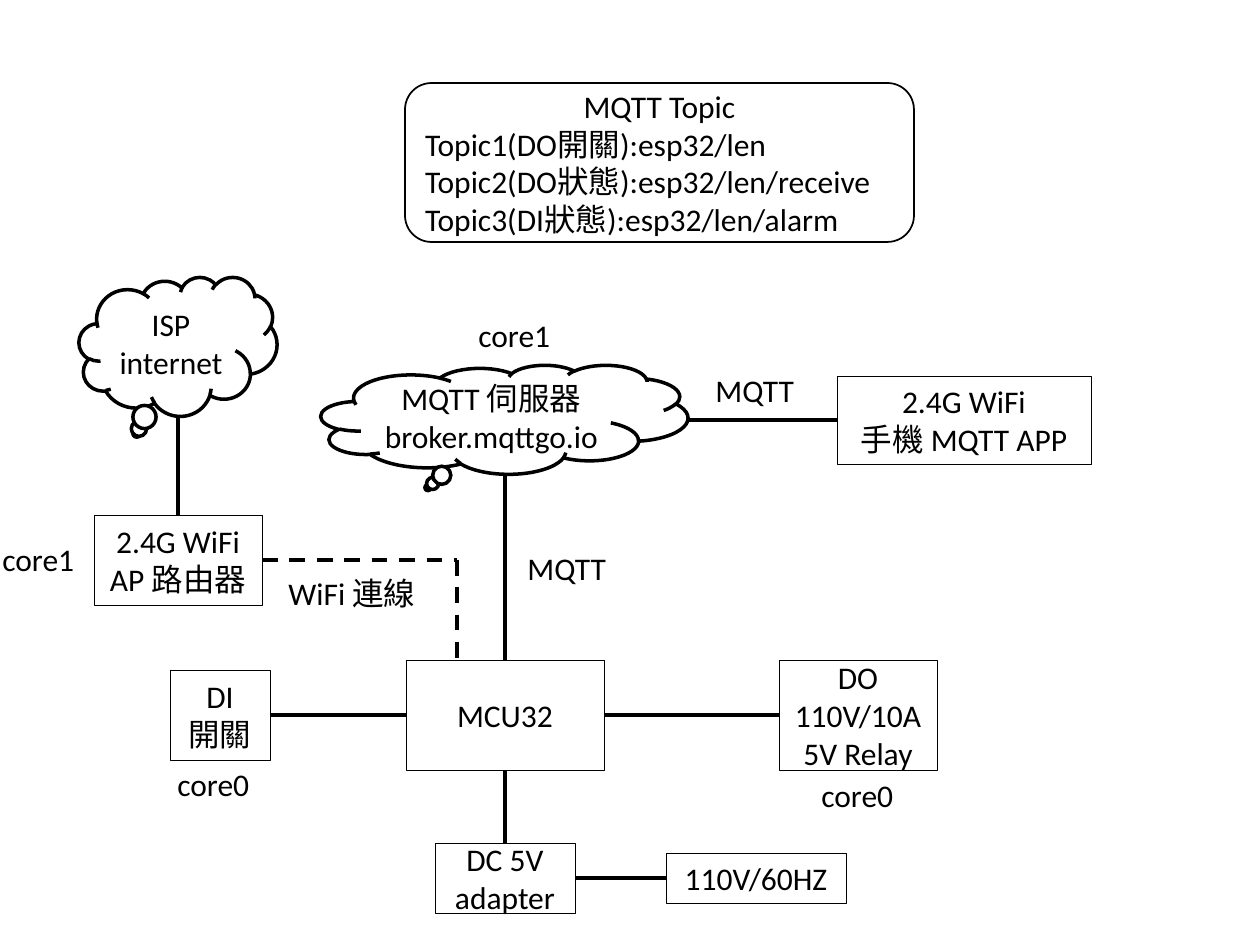
import dataclasses

import pptx
import pptx.dml.color
import pptx.enum.dml
import pptx.enum.shapes
import pptx.enum.text
import pptx.oxml.ns
import pptx.util
from lxml import etree

SCALE = 914400 / 126
SHAPE = pptx.enum.shapes.MSO_SHAPE
ALIGN = pptx.enum.text.PP_ALIGN
TOP, LEFT, BOTTOM, RIGHT = range(4)


@dataclasses.dataclass(frozen=True)
class Theme:
    """Colours, font and sizes of the diagram."""
    ink: pptx.dml.color.RGBColor = pptx.dml.color.RGBColor(0, 0, 0)
    paper: pptx.dml.color.RGBColor = pptx.dml.color.RGBColor(255, 255, 255)
    font: str = "Calibri"
    size: int = 18
    box_line: float = 0.25
    cloud_line: float = 2
    panel_line: float = 1
    link_line: float = 2.25
    box_inset: int = 6


THEME = Theme()


def px(n):
    """Turn pixels into EMU."""
    return pptx.util.Emu(round(n * SCALE))


def write(tf, lines, aligns):
    """Write one paragraph per line with its alignment."""
    for i, (line, align) in enumerate(zip(lines, aligns)):
        p = tf.paragraphs[0] if i == 0 else tf.add_paragraph()
        p.alignment = align
        r = p.add_run()
        r.text = line
        r.font.name = THEME.font
        r.font.size = pptx.util.Pt(THEME.size)
        r.font.color.rgb = THEME.ink


def add_node(s, kind, box, lines, width, aligns=None):
    """Add an outlined shape with text in its middle."""
    sp = s.shapes.add_shape(kind, *map(px, box))
    sp.shadow.inherit = False
    sp.fill.solid()
    sp.fill.fore_color.rgb = THEME.paper
    sp.line.color.rgb = THEME.ink
    sp.line.width = pptx.util.Pt(width)
    tf = sp.text_frame
    tf.word_wrap = True
    tf.vertical_anchor = pptx.enum.text.MSO_ANCHOR.MIDDLE
    write(tf, lines, aligns or [ALIGN.CENTER] * len(lines))
    return sp


def add_box(s, box, *lines):
    """Add a device rectangle with narrow side insets."""
    sp = add_node(s, SHAPE.RECTANGLE, box, lines, THEME.box_line)
    tf = sp.text_frame
    tf.margin_left = tf.margin_right = px(THEME.box_inset)
    return sp


def add_cloud(s, box, *lines):
    """Add a network cloud."""
    return add_node(s, SHAPE.CLOUD_CALLOUT, box, lines, THEME.cloud_line)


def add_label(s, left, top, width, text):
    """Add a one-line label."""
    tb = s.shapes.add_textbox(px(left), px(top), px(width), px(50))
    tf = tb.text_frame
    tf.word_wrap = False
    tf.auto_size = pptx.enum.text.MSO_AUTO_SIZE.SHAPE_TO_FIT_TEXT
    write(tf, [text], [ALIGN.LEFT])


def add_link(s, start, end, begin_at=None, end_at=None, dashed=False):
    """Add a straight link, joined to a (shape, side) where one is given."""
    c = s.shapes.add_connector(
        pptx.enum.shapes.MSO_CONNECTOR.STRAIGHT, *map(px, start + end))
    c.line.color.rgb = THEME.ink
    c.line.width = pptx.util.Pt(THEME.link_line)
    if dashed:
        c.line.dash_style = pptx.enum.dml.MSO_LINE.DASH
    etree.SubElement(c._element.spPr, pptx.oxml.ns.qn("a:effectLst"))
    if begin_at:
        c.begin_connect(*begin_at)
    if end_at:
        c.end_connect(*end_at)


def main():
    """Build the network diagram."""
    prs = pptx.Presentation()
    prs.slide_width, prs.slide_height = px(1260), px(945)
    s = prs.slides.add_slide(prs.slide_layouts[6])

    board = add_box(s, (406, 660, 198, 110), "MCU32")
    relay = add_box(s, (779, 660, 158, 110), "DO", "110V/10A", "5V Relay")
    switch = add_box(s, (170, 670, 100, 90), "DI", "開關")
    phone = add_box(s, (837, 376, 254, 88), "2.4G WiFi", "手機 MQTT APP")
    router = add_box(s, (94, 515, 168, 90), "2.4G WiFi", "AP 路由器")
    adapter = add_box(s, (435, 843, 140, 70), "DC 5V", "adapter")
    mains = add_box(s, (666, 853, 180, 50), "110V/60HZ")

    add_link(s, (270, 715), (406, 715), (switch, RIGHT), (board, LEFT))
    add_link(s, (604, 715), (779, 715), (board, RIGHT), (relay, LEFT))
    add_link(s, (505, 770), (505, 843), (board, BOTTOM), (adapter, TOP))
    add_link(s, (575, 878), (666, 878), (adapter, RIGHT), (mains, LEFT))
    add_link(s, (178, 416), (178, 515), end_at=(router, TOP))
    add_link(s, (505, 474), (505, 660), end_at=(board, TOP))
    add_link(s, (837, 420), (688, 420), begin_at=(phone, LEFT))
    add_link(s, (262, 560), (457, 560), begin_at=(router, RIGHT), dashed=True)
    add_link(s, (457, 560), (457, 660), dashed=True)

    add_cloud(s, (79, 277, 198, 139), "ISP", "internet")
    add_cloud(s, (321, 365, 367, 109), "MQTT 伺服器", "broker.mqttgo.io")
    topics = ["MQTT Topic", "Topic1(DO開關):esp32/len",
              "Topic2(DO狀態):esp32/len/receive",
              "Topic3(DI狀態):esp32/len/alarm"]
    add_node(s, SHAPE.ROUNDED_RECTANGLE, (405, 83, 509, 159), topics,
             THEME.panel_line, [ALIGN.CENTER] + [ALIGN.LEFT] * 3)

    for left, top, width, text in (
            (276, 568, 161, "WiFi 連線"),
            (515, 543, 105, "MQTT"),
            (703, 365, 105, "MQTT"),
            (165, 759, 98, "core0"),
            (809, 770, 98, "core0"),
            (-10, 534, 98, "core1"),
            (466, 310, 98, "core1")):
        add_label(s, left, top, width, text)

    prs.save("out.pptx")


if __name__ == "__main__":
    main()
